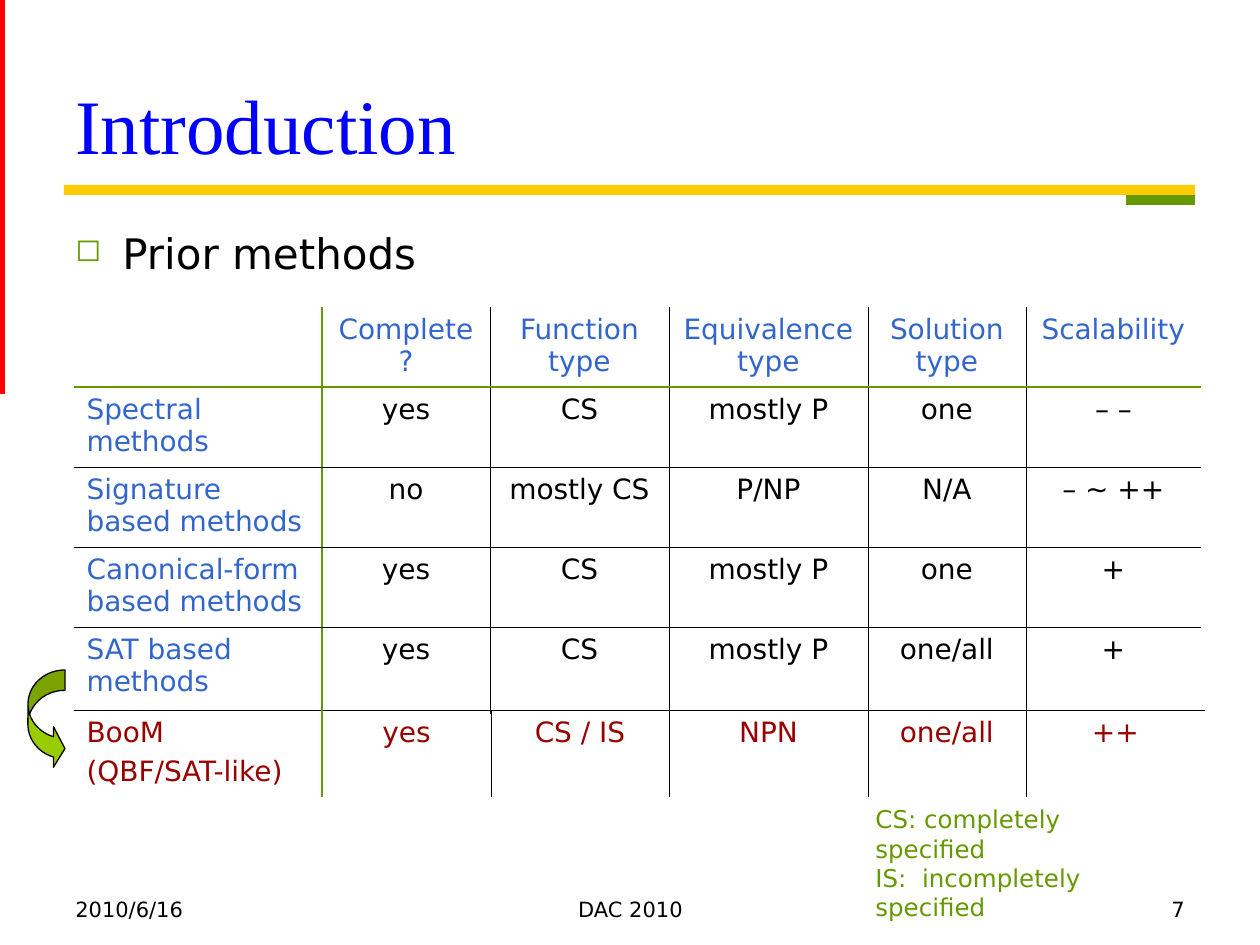
from typing import NamedTuple, Optional

from lxml.etree import SubElement
from pptx import Presentation
from pptx.dml.color import RGBColor
from pptx.enum.shapes import MSO_SHAPE
from pptx.enum.text import MSO_ANCHOR, PP_ALIGN
from pptx.oxml.ns import qn
from pptx.util import Emu, Pt

PX_PER_INCH = 126
SANS, SERIF = "DejaVu Sans", "Times New Roman"

BLACK = RGBColor(0x00, 0x00, 0x00)
BLUE = RGBColor(0x00, 0x00, 0xFF)
LABEL_BLUE = RGBColor(0x33, 0x66, 0xCC)
GREEN = RGBColor(0x66, 0x99, 0x00)
LIME = RGBColor(0x99, 0xCC, 0x00)
RED = RGBColor(0xFF, 0x00, 0x00)
DARK_RED = RGBColor(0x99, 0x00, 0x00)
GOLD = RGBColor(0xFF, 0xCC, 0x00)


class Box(NamedTuple):
    left: int
    top: int
    width: int
    height: int


class Bar(NamedTuple):
    box: Box
    color: RGBColor


class Label(NamedTuple):
    lines: list[str]
    box: Box
    size: int
    color: RGBColor = BLACK
    font: str = SANS
    align: PP_ALIGN = PP_ALIGN.LEFT
    anchor: MSO_ANCHOR = MSO_ANCHOR.TOP
    line_spacing: Optional[float] = None


class Border(NamedTuple):
    color: RGBColor
    points: float


THIN = Border(BLACK, 0.45)
ACCENT = Border(GREEN, 1.08)


class Grid(NamedTuple):
    left: int
    top: int
    columns: list[int]
    rows: list[int]
    cells: list[list[str]]
    label_color: RGBColor
    value_color: RGBColor
    has_header: bool


BARS = [
    Bar(Box(1126, 195, 69, 10), GREEN),
    Bar(Box(0, 0, 5, 394), RED),
    Bar(Box(64, 185, 1131, 10), GOLD),
]

TITLE = Label(["Introduction"], Box(63, 18, 1134, 157), 44, BLUE, SERIF,
              anchor=MSO_ANCHOR.BOTTOM, line_spacing=0.8)
TOPIC = Label(["Prior methods"], Box(63, 221, 557, 624), 24)
NOTES = [
    Label(["CS: completely specified", "IS:  incompletely specified"],
          Box(863, 798, 322, 72), 14, GREEN),
    Label(["DAC 2010"], Box(431, 890, 399, 35), 12, align=PP_ALIGN.CENTER),
    Label(["7"], Box(903, 890, 294, 35), 12, align=PP_ALIGN.RIGHT),
    Label(["2010/6/16"], Box(63, 890, 294, 35), 12),
]

PRIOR_METHODS = Grid(
    74, 307, [248, 168, 179, 199, 158, 175], [80, 80, 80, 80, 87],
    [
        ["", "Complete ?", "Function type", "Equivalence type", "Solution type", "Scalability"],
        ["Spectral methods", "yes", "CS", "mostly P", "one", "– –"],
        ["Signature based methods", "no", "mostly CS", "P/NP", "N/A", "– ~ ++"],
        ["Canonical-form based methods", "yes", "CS", "mostly P", "one", "+"],
        ["SAT based methods", "yes", "CS", "mostly P", "one/all", "+"],
    ],
    LABEL_BLUE, BLACK, has_header=True)
OWN_METHOD = Grid(
    74, 710, [248, 169, 178, 199, 158, 179], [87],
    [["BooM\n(QBF/SAT-like)", "yes", "CS / IS", "NPN", "one/all", "++"]],
    DARK_RED, DARK_RED, has_header=False)
ARROW = Box(28, 670, 37, 99)


def px(length: int) -> Emu:
    return Emu(round(length * 914400 / PX_PER_INCH))


def place(box: Box) -> list[Emu]:
    return [px(length) for length in box]


def set_font(paragraph, size: int, color: RGBColor, font: str = SANS) -> None:
    paragraph.font.size = Pt(size)
    paragraph.font.name = font
    paragraph.font.color.rgb = color


def draw_bar(slide, bar: Bar) -> None:
    rectangle = slide.shapes.add_shape(MSO_SHAPE.RECTANGLE, *place(bar.box))
    rectangle.shadow.inherit = False
    rectangle.fill.solid()
    rectangle.fill.fore_color.rgb = bar.color
    rectangle.line.fill.background()


def add_bullet(paragraph, char: str, color: RGBColor, percent: int, indent: int) -> None:
    properties = paragraph._p.get_or_add_pPr()
    properties.set("marL", str(px(indent)))
    properties.set("indent", str(-px(indent)))
    bullet_color = SubElement(properties, qn("a:buClr"))
    SubElement(bullet_color, qn("a:srgbClr"), val=str(color))
    SubElement(properties, qn("a:buSzPct"), val=str(percent * 1000))
    SubElement(properties, qn("a:buChar"), char=char)


def draw_label(slide, label: Label, bulleted: bool = False) -> None:
    frame = slide.shapes.add_textbox(*place(label.box)).text_frame
    frame.word_wrap = True
    frame.vertical_anchor = label.anchor
    frame.text = "\n".join(label.lines)
    for paragraph in frame.paragraphs:
        paragraph.alignment = label.align
        if label.line_spacing:
            paragraph.line_spacing = label.line_spacing
        if bulleted:
            add_bullet(paragraph, "◻", GREEN, 75, 47)
        set_font(paragraph, label.size, label.color, label.font)


def set_border(cell, side: str, border: Optional[Border]) -> None:
    line = SubElement(cell._tc.get_or_add_tcPr(), qn(f"a:ln{side}"))
    if border is None:
        SubElement(line, qn("a:noFill"))
        return
    line.set("w", str(Pt(border.points)))
    fill = SubElement(line, qn("a:solidFill"))
    SubElement(fill, qn("a:srgbClr"), val=str(border.color))


def vertical_rule(edge: int, count: int) -> Optional[Border]:
    if edge in (0, count):
        return None
    return ACCENT if edge == 1 else THIN


def horizontal_rule(edge: int, grid: Grid) -> Optional[Border]:
    if edge == len(grid.rows) or (edge == 0 and grid.has_header):
        return None
    return ACCENT if edge == 1 else THIN


def draw_grid(slide, grid: Grid) -> None:
    box = Box(grid.left, grid.top, sum(grid.columns), sum(grid.rows))
    table = slide.shapes.add_table(len(grid.rows), len(grid.columns), *place(box)).table
    table.first_row = table.horz_banding = False
    for column, width in zip(table.columns, grid.columns):
        column.width = px(width)
    for row, height in zip(table.rows, grid.rows):
        row.height = px(height)

    for r, texts in enumerate(grid.cells):
        for c, text in enumerate(texts):
            cell = table.cell(r, c)
            cell.text = text
            cell.margin_left = cell.margin_right = Emu(91440)
            is_label = c == 0 or (grid.has_header and r == 0)
            for i, paragraph in enumerate(cell.text_frame.paragraphs):
                paragraph.alignment = PP_ALIGN.CENTER if c else PP_ALIGN.LEFT
                if i:
                    paragraph.space_before = Pt(4)
                set_font(paragraph, 16, grid.label_color if is_label else grid.value_color)
            set_border(cell, "L", vertical_rule(c, len(texts)))
            set_border(cell, "R", vertical_rule(c + 1, len(texts)))
            set_border(cell, "T", horizontal_rule(r, grid))
            set_border(cell, "B", horizontal_rule(r + 1, grid))
            cell.fill.background()


def draw_arrow(slide, box: Box) -> None:
    arrow = slide.shapes.add_shape(MSO_SHAPE.CURVED_RIGHT_ARROW, *place(box))
    for i, ratio in enumerate((0.55, 1.1, 0.31)):
        arrow.adjustments[i] = ratio
    arrow.shadow.inherit = False
    arrow.fill.solid()
    arrow.fill.fore_color.rgb = LIME
    arrow.line.color.rgb = BLACK
    arrow.line.width = Pt(0.75)


def main() -> None:
    deck = Presentation()
    deck.slide_width, deck.slide_height = px(1260), px(945)
    slide = deck.slides.add_slide(deck.slide_layouts[6])

    # Frame, title and topic
    for bar in BARS:
        draw_bar(slide, bar)
    draw_label(slide, TITLE)
    draw_label(slide, TOPIC, bulleted=True)

    # Comparison of methods
    draw_grid(slide, PRIOR_METHODS)
    draw_arrow(slide, ARROW)
    draw_grid(slide, OWN_METHOD)

    # Legend and footer
    for note in NOTES:
        draw_label(slide, note)
    deck.save("out.pptx")


if __name__ == "__main__":
    main()
